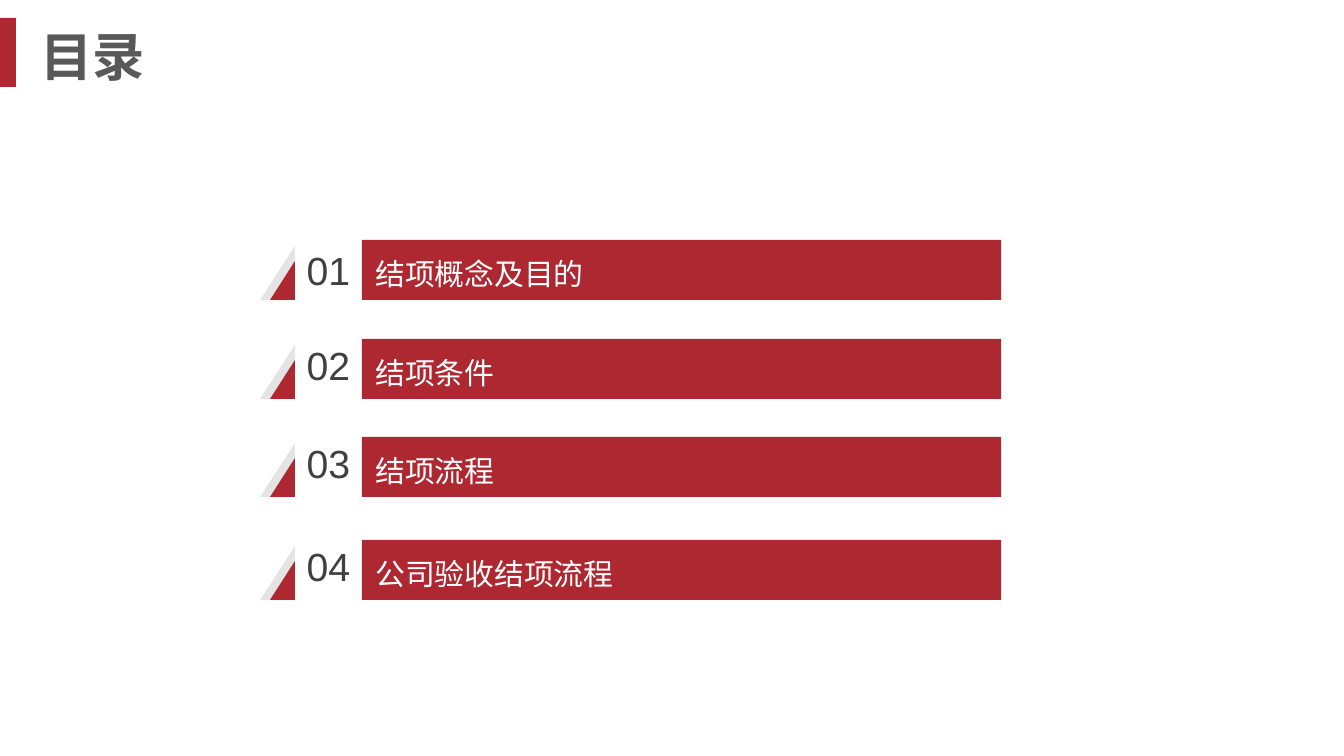
from dataclasses import dataclass

from lxml import etree
from pptx import Presentation
from pptx.dml.color import RGBColor
from pptx.enum.shapes import MSO_SHAPE
from pptx.enum.text import MSO_ANCHOR, MSO_AUTO_SIZE, PP_ALIGN
from pptx.oxml.ns import qn
from pptx.util import Pt

RECT = MSO_SHAPE.RECTANGLE
TOP, MID = MSO_ANCHOR.TOP, MSO_ANCHOR.MIDDLE
LEFT, CENTER = PP_ALIGN.LEFT, PP_ALIGN.CENTER
FIXED = MSO_AUTO_SIZE.NONE
SCALE = 914400 / 134.4


def px(*vals):
    return [round(val * SCALE) for val in vals]


@dataclass(frozen=True)
class Theme:
    font: str = "Arial"
    red: str = "AD2830"
    pale: str = "E4E4E4"
    dark: str = "404040"
    gray: str = "595959"
    white: str = "FFFFFF"
    head: int = 28
    mark: int = 21
    body: int = 16


class Deck:
    def __init__(self, theme, slide):
        self.theme = theme
        self.slide = slide

    def paint(self, shape, color):
        shape.shadow.inherit = False
        shape.fill.solid()
        shape.fill.fore_color.rgb = RGBColor.from_string(color)
        shape.line.fill.background()

    def rect(self, x, y, w, h, color):
        self.paint(self.slide.shapes.add_shape(RECT, *px(x, y, w, h)), color)

    def free(self, rings, color):
        first, *rest = rings
        pen = self.slide.shapes.build_freeform(*first[0], scale=SCALE)
        pen.add_line_segments(first[1:])
        for points in rest:
            pen.move_to(*points[0])
            pen.add_line_segments(points[1:])
        self.paint(pen.convert_to_shape(), color)

    def label(self, box, text, size, color, bold=False, align=LEFT, anchor=MID):
        frame = box.text_frame
        frame.text = text
        frame.word_wrap = True
        frame.auto_size = FIXED
        frame.vertical_anchor = anchor
        para = frame.paragraphs[0]
        para.alignment = align
        para.space_before = Pt(0)
        font = para.runs[0].font
        font.name = self.theme.font
        font.size = Pt(size)
        font.bold = bold
        font.color.rgb = RGBColor.from_string(color)
        return para

    def place(self, box, x, y, w, h):
        box.left, box.top, box.width, box.height = px(x, y, w, h)
        self.slide.shapes.element.append(box.element)

    def title(self, text, x, y, w, h):
        box = self.slide.shapes.title
        self.place(box, x, y, w, h)
        self.label(box, text, self.theme.head, self.theme.gray, True, anchor=TOP)

    def item(self, slot, text, x, y, w, h):
        box = self.slide.placeholders[slot]
        self.place(box, x, y, w, h)
        para = self.label(box, text, self.theme.body, self.theme.white)
        para.line_spacing = 1.2
        props = para._p.get_or_add_pPr()
        props.set("marL", "0")
        props.set("indent", "0")
        etree.SubElement(props, qn("a:buNone"))

    def mark(self, text, x, y, w, h):
        box = self.slide.shapes.add_textbox(*px(x, y, w, h))
        frame = box.text_frame
        frame.margin_left = frame.margin_right = 0
        frame.margin_top = frame.margin_bottom = 0
        self.label(box, text, self.theme.mark, self.theme.dark, align=CENTER)

    def row(self, slot, text, top, lift):
        edge, bar, end, high = 295, 362, 1001, 60
        base = top + high
        self.free([[(edge, top + 6), (edge, base), (260, base)]], self.theme.pale)
        wedge = [(edge, top + 21), (edge, base), (270, base)]
        strip = [(bar, top), (end, top), (end, base), (bar, base)]
        self.free([wedge, strip], self.theme.red)
        self.mark(f"{slot:02}", edge, top - lift, bar - edge, high)
        self.item(slot, text, bar, top, end - bar, high)


def main():
    show = Presentation()
    show.slide_width, show.slide_height = px(1344, 756)
    theme = Theme()
    deck = Deck(theme, show.slides.add_slide(show.slide_layouts[4]))
    deck.rect(0, 18, 16, 69, theme.red)
    deck.title("目录", 27, 18, 1111, 69)
    rows = [
        ("结项概念及目的", 240, 0),
        ("结项条件", 339, 4),
        ("结项流程", 437, 4),
        ("公司验收结项流程", 540, 4),
    ]
    for slot, (text, top, lift) in enumerate(rows, 1):
        deck.row(slot, text, top, lift)
    show.save("out.pptx")


if __name__ == "__main__":
    main()
